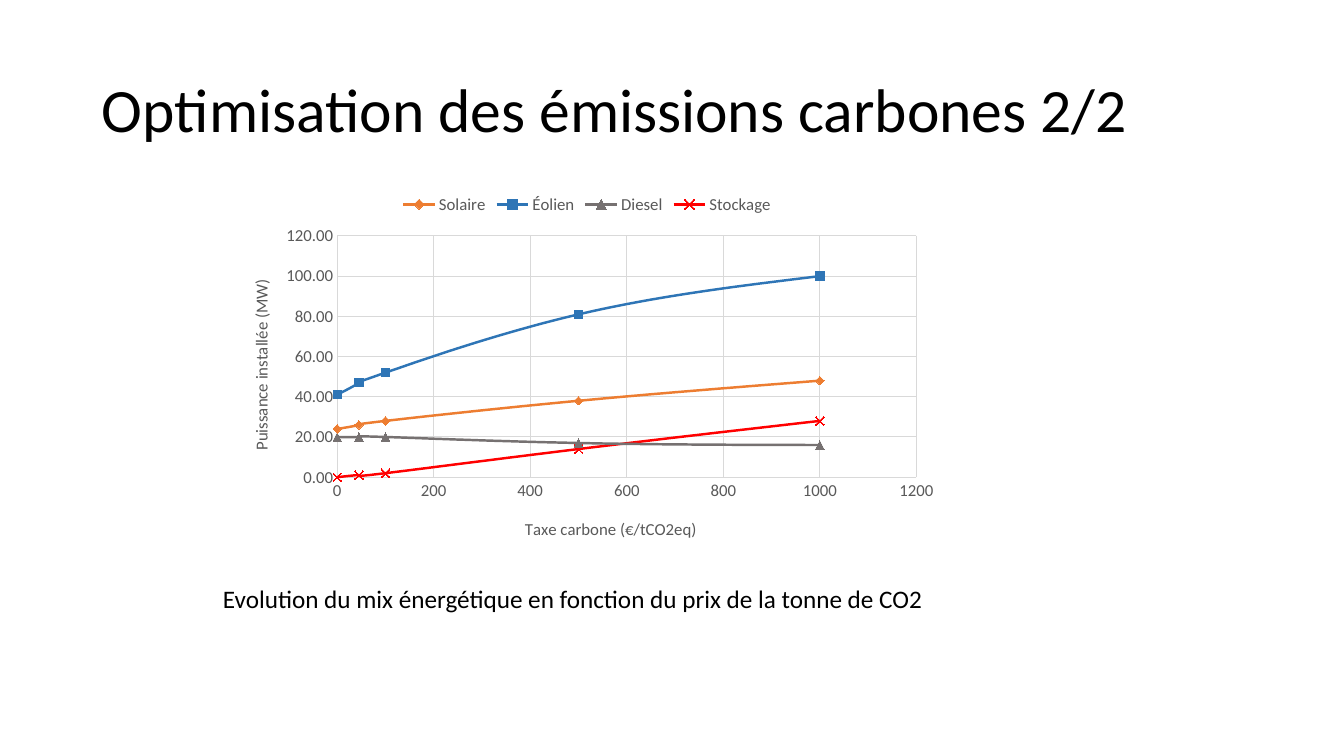
from lxml.etree import SubElement
from pptx import Presentation
from pptx.chart.data import XyChartData
from pptx.dml.color import RGBColor
from pptx.enum.chart import XL_CHART_TYPE, XL_LEGEND_POSITION, XL_MARKER_STYLE, XL_TICK_MARK
from pptx.enum.text import MSO_ANCHOR
from pptx.oxml import parse_xml
from pptx.oxml.ns import nsdecls, qn
from pptx.util import Pt

PX = 914400 / 100.8
BLACK = RGBColor(0x00, 0x00, 0x00)
GRAY = RGBColor(0x59, 0x59, 0x59)
PALE = RGBColor(0xD9, 0xD9, 0xD9)
ORANGE = RGBColor(0xED, 0x7D, 0x31)
BLUE = RGBColor(0x2E, 0x75, 0xB6)
STONE = RGBColor(0x76, 0x71, 0x71)
RED = RGBColor(0xFF, 0x00, 0x00)


def style(font, size, color):
    for name, value in {"name": "Calibri", "size": Pt(size), "bold": False}.items():
        setattr(font, name, value)
    font.color.rgb = color


def place(node, index, spots):
    for old in node.findall(qn("c:layout")):
        node.remove(old)
    layout = parse_xml(f"<c:layout {nsdecls('c')}/>")
    manual = SubElement(layout, qn("c:manualLayout"))
    for name, value in spots.items():
        SubElement(manual, qn(f"c:{name}")).set("val", str(value))
    node.insert(index, layout)


deck = Presentation()
deck.slide_width, deck.slide_height = round(1344 * PX), round(756 * PX)
slide = deck.slides.add_slide(deck.slide_layouts[6])

texts = [
    ("Optimisation des émissions carbones 2/2", (92, 40, 1159, 146), 44, MSO_ANCHOR.MIDDLE, 0.9),
    ("Evolution du mix énergétique en fonction du prix de la tonne de CO2",
     (213, 578, 808, 40), 18, MSO_ANCHOR.TOP, 1.0),
]
for words, box, size, anchor, lead in texts:
    frame = slide.shapes.add_textbox(*(round(n * PX) for n in box)).text_frame
    frame.word_wrap = True
    frame.vertical_anchor = anchor
    line = frame.paragraphs[0]
    line.text = words
    line.line_spacing = lead
    style(line.font, size, BLACK)

taxes = [0, 45, 100, 500, 1000]
mix = [
    ("Solaire", [24, 26, 28, 38, 48], ORANGE, XL_MARKER_STYLE.DIAMOND),
    ("Éolien", [41, 47, 52, 81, 100], BLUE, XL_MARKER_STYLE.SQUARE),
    ("Diesel", [20, 20, 20, 17, 16], STONE, XL_MARKER_STYLE.TRIANGLE),
    ("Stockage", [0, 1, 2, 14, 28], RED, XL_MARKER_STYLE.X),
]
data = XyChartData()
for name, powers, color, mark in mix:
    series = data.add_series(name)
    for tax, power in zip(taxes, powers):
        series.add_data_point(tax, power)

box = (225, 183, 724, 373)
chart = slide.shapes.add_chart(
    XL_CHART_TYPE.XY_SCATTER_SMOOTH, *(round(n * PX) for n in box), data).chart
style(chart.font, 12, GRAY)
chart.has_title = False
chart.has_legend = True
chart.legend.position = XL_LEGEND_POSITION.TOP
chart.legend.include_in_layout = False
style(chart.legend.font, 12, GRAY)
plot = chart.plots[0]
plot.vary_by_categories = False

for series, (name, powers, color, mark) in zip(plot.series, mix):
    series.format.line.color.rgb = color
    series.format.line.width = Pt(1.75)
    series.marker.style = mark
    series.marker.size = 6
    if mark == XL_MARKER_STYLE.X:
        series.marker.format.fill.background()
    else:
        series.marker.format.fill.solid()
        series.marker.format.fill.fore_color.rgb = color
    series.marker.format.line.color.rgb = color
    series._element.find(qn("c:smooth")).set("val", "1")

axes = [
    (chart.category_axis, "Taxe carbone (€/tCO2eq)", 1200, 200, "General", (0.41, 0.89)),
    (chart.value_axis, "Puissance installée (MW)", 120, 20, "0.00", (0.03, 0.25)),
]
for axis, words, top, step, digits, (x, y) in axes:
    values = {
        "minimum_scale": 0, "maximum_scale": top, "major_unit": step,
        "has_major_gridlines": True, "has_title": True,
        "major_tick_mark": XL_TICK_MARK.NONE, "minor_tick_mark": XL_TICK_MARK.NONE,
    }
    for name, value in values.items():
        setattr(axis, name, value)
    for shape in (axis, axis.major_gridlines):
        shape.format.line.color.rgb = PALE
        shape.format.line.width = Pt(0.75)
    axis.tick_labels.number_format = digits
    axis.tick_labels.number_format_is_linked = False
    style(axis.tick_labels.font, 12, GRAY)
    title = axis.axis_title
    title.text_frame.text = words
    style(title.text_frame.paragraphs[0].runs[0].font, 12, GRAY)
    place(title._element, 1, {"xMode": "edge", "yMode": "edge", "x": x, "y": y})

area = chart._chartSpace.find(".//" + qn("c:plotArea"))
place(area, 0, {"layoutTarget": "inner", "xMode": "edge", "yMode": "edge",
                "x": 0.155, "y": 0.142, "w": 0.8, "h": 0.647})

deck.save("out.pptx")
